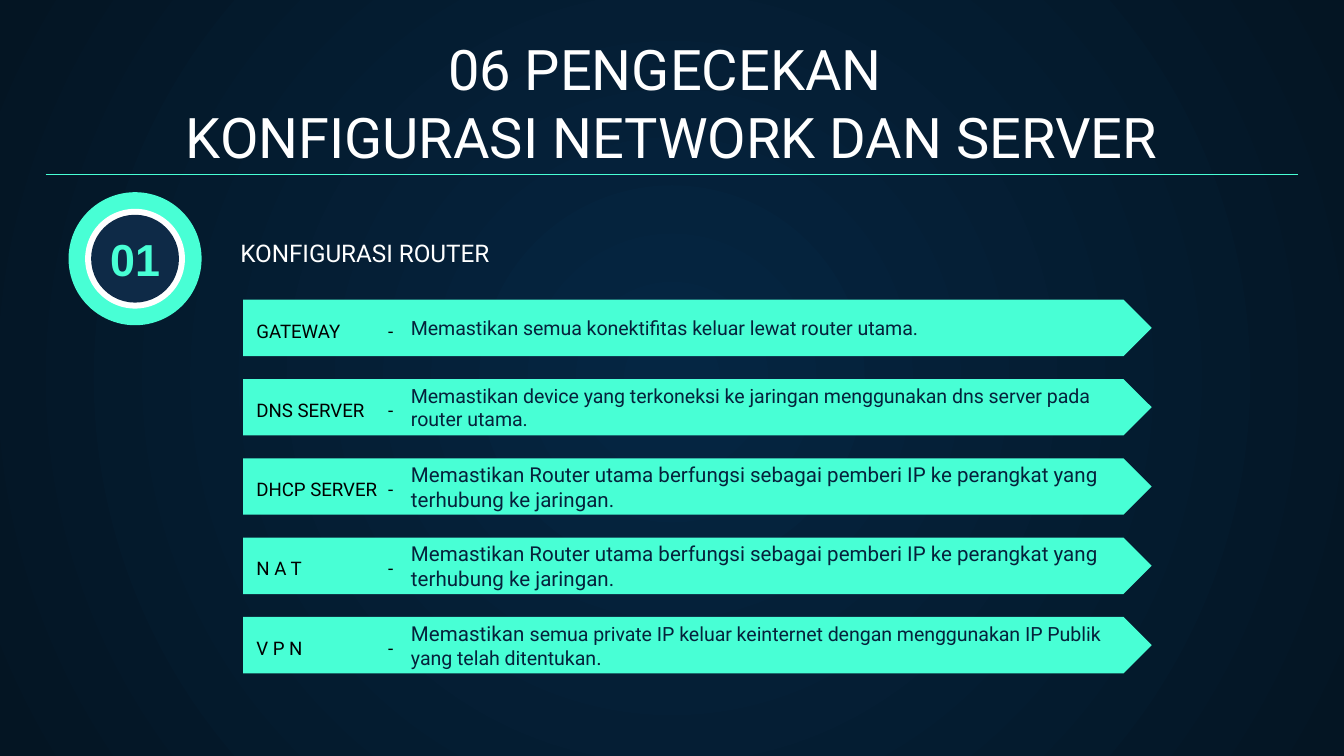
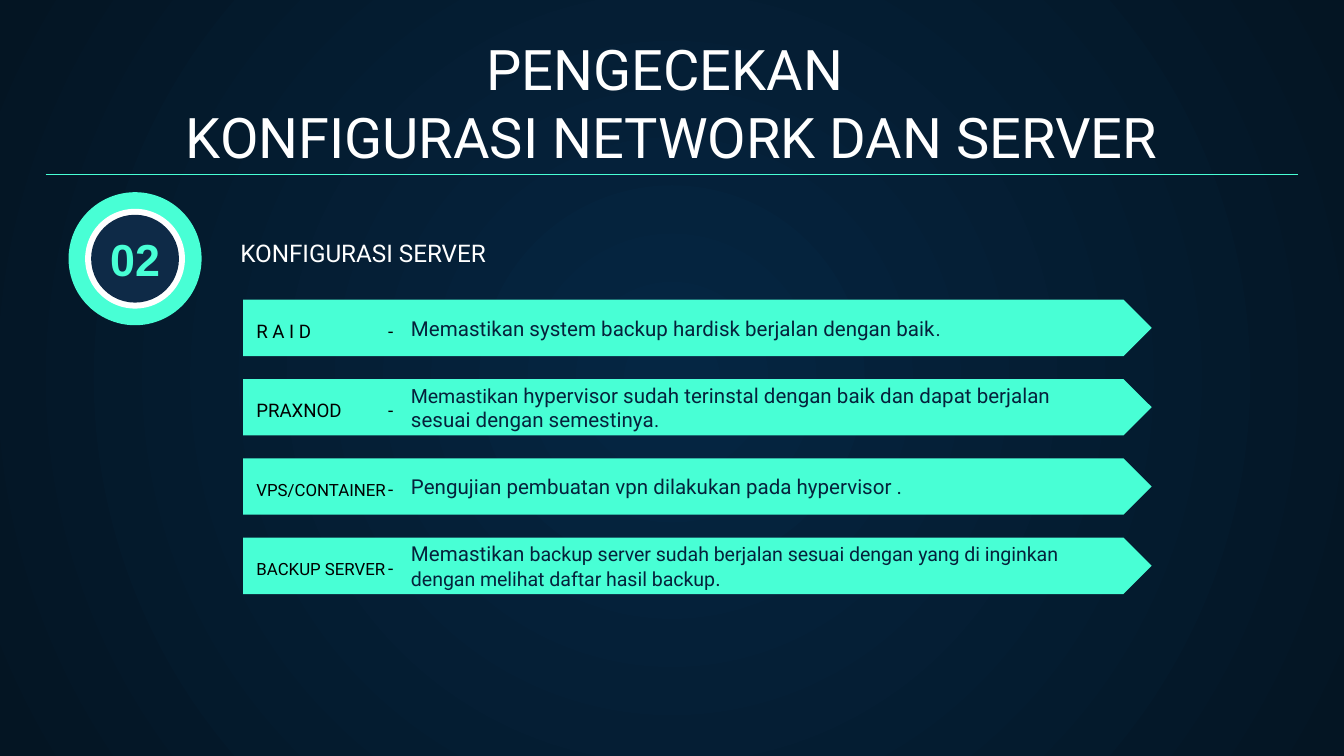
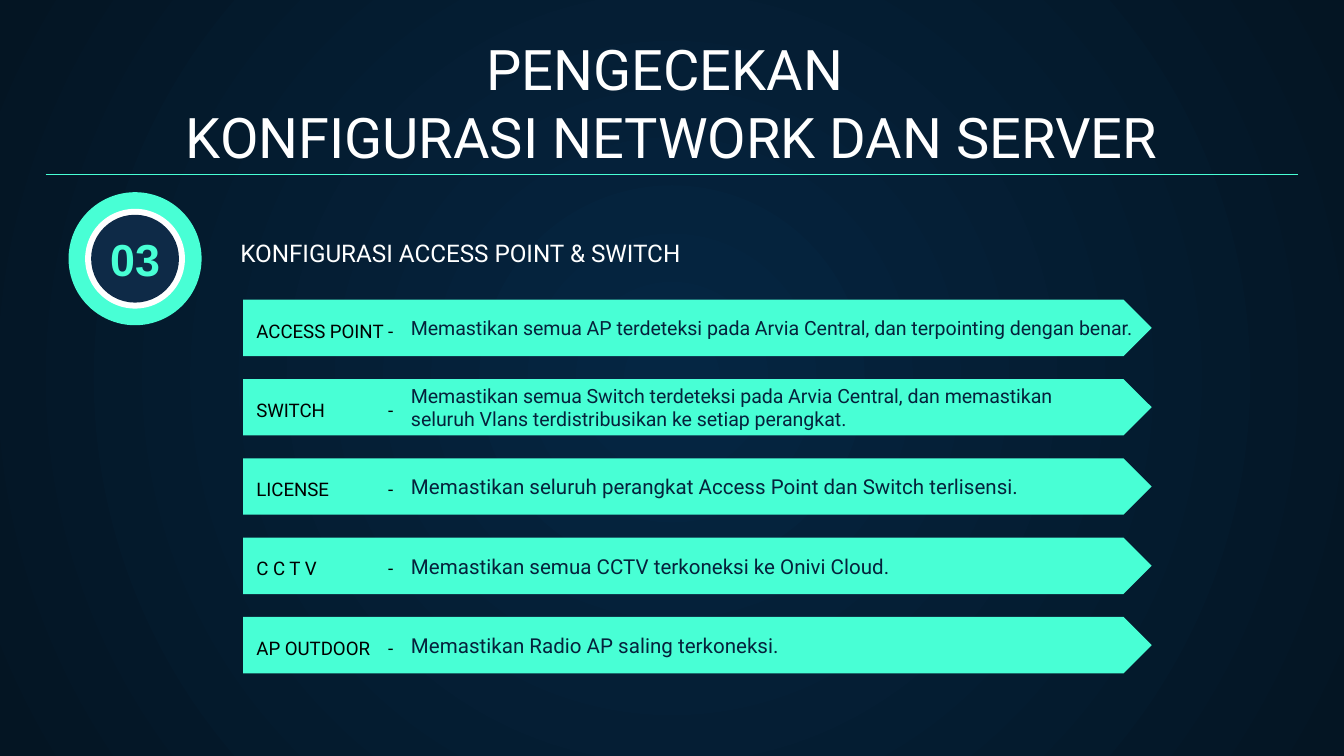
from pptx import Presentation
from pptx.dml.color import RGBColor
from pptx.enum.shapes import MSO_CONNECTOR, MSO_SHAPE
from pptx.enum.text import MSO_ANCHOR, PP_ALIGN
from pptx.oxml.ns import qn
from pptx.util import Inches, Pt
from lxml import etree

LEFT, CENTER = PP_ALIGN.LEFT, PP_ALIGN.CENTER
MIDDLE, BOTTOM = MSO_ANCHOR.MIDDLE, MSO_ANCHOR.BOTTOM
OVAL, PENTAGON = MSO_SHAPE.OVAL, MSO_SHAPE.PENTAGON
STRAIGHT = MSO_CONNECTOR.STRAIGHT

# Colours and fonts
MINT, NAVY, WHITE, BLACK, INK = "48FFD5", "0E2A47", "FFFFFF", "000000", "05223B"
GLOW, EDGE = "052643", "041523"
BODY_FONT, NUMBER_FONT = "Roboto", "Arial"

# Grid: 100 columns across the slide, 56.25 square rows down it
COLUMNS, ROWS = 100, 56.25
SLIDE_WIDTH = Inches(10)
CELL = SLIDE_WIDTH / COLUMNS

# Regions as left, top, width, height in grid cells
TITLE_BOX = (3.4, 7, 93.2, 6.6)
RULE_ROW = 13
BADGE_BOX = (5.1, 14.3, 9.9, 9.9)
HEADING_BOX = (16.9, 18.8, 40.4, 2.1)
FIRST_BAR = (18.1, 22.3, 67.6, 4.2)
BAR_PITCH = 5.9
DASH_STOP = 9.8

TITLE = "PENGECEKAN \nKONFIGURASI NETWORK DAN SERVER"
DHCP_NAT_TASK = ("Memastikan Router utama berfungsi sebagai pemberi IP "
                 "ke perangkat yang terhubung ke jaringan.")

# Each check: label, label size, runs of the task as (words, size)
SECTIONS = [
    ("01", "06 " + TITLE, "KONFIGURASI ROUTER", [
        ("GATEWAY", 10, [("Memastikan semua konektifitas keluar lewat router utama.", 10.5)]),
        ("DNS SERVER", 10, [("Memastikan device yang terkoneksi ke jaringan menggunakan "
                             "dns server pada router utama.", 10.5)]),
        ("DHCP SERVER", 10, [(DHCP_NAT_TASK, 11)]),
        ("N A T", 10, [(DHCP_NAT_TASK, 11)]),
        ("V P N", 10, [("Memastikan ", 11),
                       ("semua private IP keluar keinternet dengan menggunakan "
                        "IP Publik yang telah ditentukan", 10.5), (".", 11)]),
    ]),
    ("02", TITLE, "KONFIGURASI SERVER", [
        ("R A I D", 10, [("Memastikan system backup hardisk berjalan dengan baik", 11),
                         (".", 10.5)]),
        ("PRAXNOD", 10, [("Memastikan ", 10.5),
                         ("hypervisor sudah terinstal dengan baik dan dapat berjalan "
                          "sesuai dengan semestinya", 11), (".", 10.5)]),
        ("VPS/CONTAINER", 9, [("Pengujian pembuatan vpn dilakukan pada hypervisor .", 11)]),
        ("BACKUP SERVER", 9, [("Memastikan ", 11),
                              ("backup server sudah berjalan sesuai dengan yang di inginkan "
                               "dengan melihat daftar hasil backup", 10.5), (".", 11)]),
    ]),
    ("03", TITLE, "KONFIGURASI ACCESS POINT & SWITCH", [
        ("ACCESS POINT", 10, [("Memastikan semua AP terdeteksi pada Arvia Central, "
                               "dan terpointing dengan benar.", 10.5)]),
        ("SWITCH", 10, [("Memastikan semua Switch terdeteksi pada Arvia Central, dan memastikan "
                         "seluruh Vlans terdistribusikan ke setiap perangkat.", 10.5)]),
        ("LICENSE", 10, [("Memastikan seluruh perangkat Access Point dan Switch terlisensi.", 11)]),
        ("C C T V", 10, [("Memastikan semua CCTV terkoneksi ke Onivi Cloud.", 11)]),
        ("AP OUTDOOR", 10, [("Memastikan Radio AP saling terkoneksi.", 11)]),
    ]),
]


def rgb(hex_colour):
    return RGBColor.from_string(hex_colour)


def cells(*counts):
    return [round(count * CELL) for count in counts]


def add_text(slide, box, runs, *, color, font=BODY_FONT, bold=False, align=LEFT,
             anchor=MIDDLE, pad=0, tab=None):
    """Write runs of (words, size) as one paragraph; a newline breaks the line."""
    frame = slide.shapes.add_textbox(*cells(*box)).text_frame
    frame.word_wrap = True
    frame.vertical_anchor = anchor
    frame.margin_left = frame.margin_right = round(CELL)
    frame.margin_top = frame.margin_bottom = round(pad * CELL)
    paragraph = frame.paragraphs[0]
    paragraph.alignment = align
    if tab:
        stops = etree.SubElement(paragraph._p.get_or_add_pPr(), qn("a:tabLst"))
        etree.SubElement(stops, qn("a:tab"), pos=str(round(tab * CELL)), algn="l")
    for words, size in runs:
        for index, line in enumerate(words.split("\n")):
            if index:
                paragraph.add_line_break()
            run = paragraph.add_run()
            run.text = line
            run.font.name, run.font.size, run.font.bold = font, Pt(size), bold
            run.font.color.rgb = rgb(color)


def add_solid(slide, preset, box, color):
    solid = slide.shapes.add_shape(preset, *cells(*box))
    solid.shadow.inherit = False
    solid.fill.solid()
    solid.fill.fore_color.rgb = rgb(color)
    solid.line.fill.background()


def paint_background(master):
    """Radial glow shared by all slides."""
    fill = master.background.fill
    fill.gradient()
    for stop, color in zip(fill.gradient_stops, (GLOW, EDGE)):
        stop.color.rgb = rgb(color)
    gradient = master.element.find(".//" + qn("a:gradFill"))
    gradient.remove(gradient.find(qn("a:lin")))
    circle = etree.SubElement(gradient, qn("a:path"))
    circle.set("path", "circle")
    etree.SubElement(circle, qn("a:fillToRect"), l="50000", t="50000", r="50000", b="50000")


def add_header(slide, box, title):
    left, _, width, _ = box
    add_text(slide, box, [(title, 30)], color=WHITE, align=CENTER, anchor=BOTTOM, pad=1)
    rule = slide.shapes.add_connector(
        STRAIGHT, *cells(left, RULE_ROW, left + width, RULE_ROW))
    rule.line.color.rgb = rgb(MINT)
    rule.line.width = Pt(0.75)
    etree.SubElement(rule._element.spPr, qn("a:effectLst"))


def add_badge(slide, box, number):
    left, top, size, _ = box
    # Concentric discs, from the outside in
    for share, color in ((1, MINT), (0.75, WHITE), (0.66, NAVY)):
        inset = size * (1 - share) / 2
        add_solid(slide, OVAL, (left + inset, top + inset, size * share, size * share), color)
    add_text(slide, box, [(number, 24)], color=MINT, font=NUMBER_FONT, bold=True, align=CENTER)


def add_check(slide, box, label, label_size, task, task_width):
    left, top, _, height = box
    add_solid(slide, PENTAGON, box, MINT)
    add_text(slide, (left, top + 0.2, 13.3, height), [(label, label_size), ("\t-", 10)],
             color=BLACK, tab=DASH_STOP)
    add_text(slide, (left + 11.5, top, task_width, height), task, color=INK)


def build_section(slide, number, title, heading, checks):
    add_header(slide, TITLE_BOX, title)
    add_badge(slide, BADGE_BOX, number)
    add_text(slide, HEADING_BOX, [(heading, 13)], color=WHITE, anchor=BOTTOM, pad=1)
    left, top, width, height = FIRST_BAR
    for row, (label, label_size, task) in enumerate(checks):
        # The first task stays on one line
        task_width = 53.6 if row else 57.4
        add_check(slide, (left, top + row * BAR_PITCH, width, height),
                  label, label_size, task, task_width)


def main():
    deck = Presentation()
    deck.slide_width, deck.slide_height = cells(COLUMNS, ROWS)
    paint_background(deck.slide_master)
    blank = deck.slide_layouts[6]
    for section in SECTIONS:
        build_section(deck.slides.add_slide(blank), *section)
    deck.save("out.pptx")


if __name__ == "__main__":
    main()
